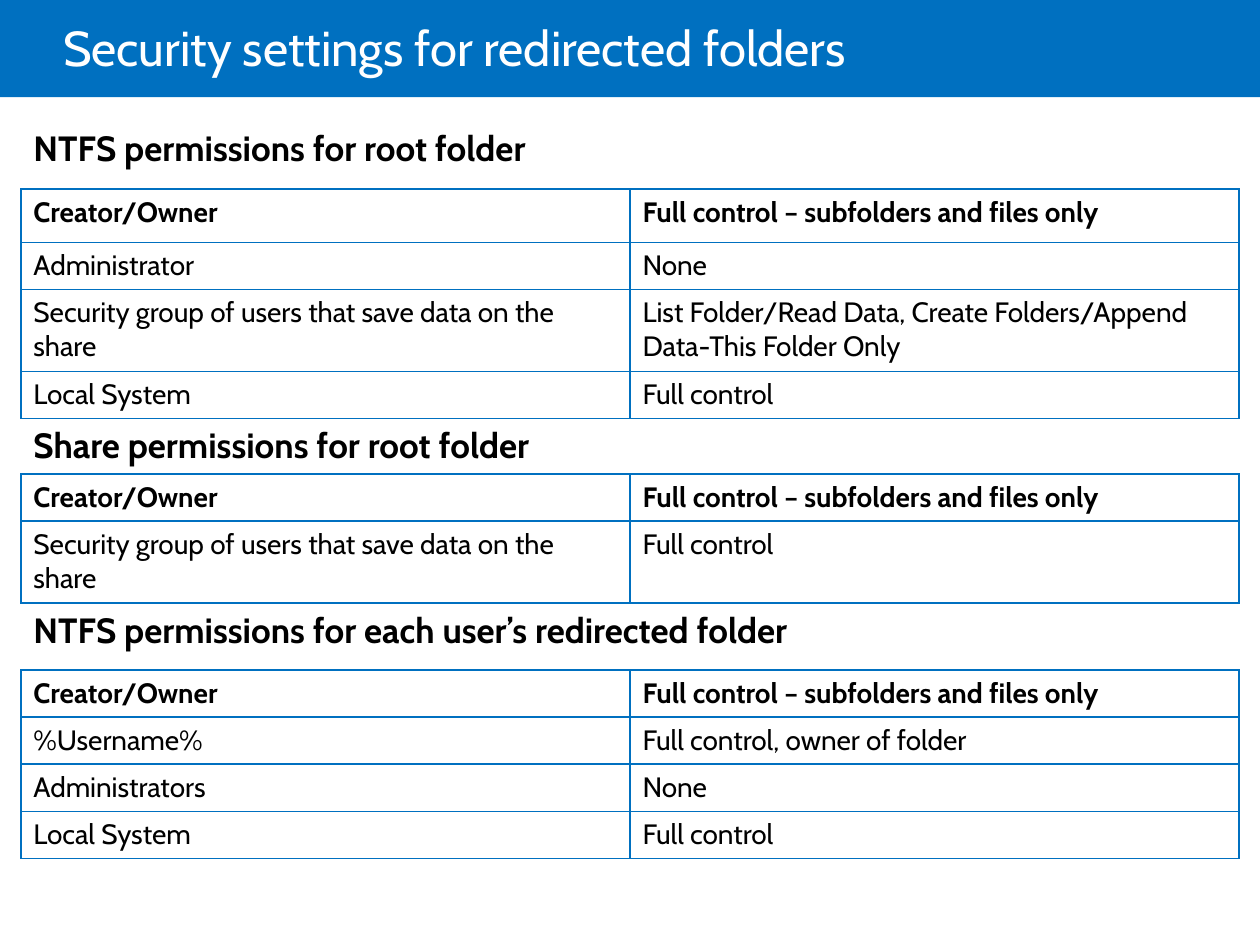
from lxml import etree
from pptx import Presentation
from pptx.dml.color import RGBColor
from pptx.enum.shapes import MSO_SHAPE
from pptx.enum.text import MSO_ANCHOR, PP_ALIGN
from pptx.oxml.ns import qn
from pptx.util import Cm, Pt

RECTANGLE = MSO_SHAPE.RECTANGLE
MIDDLE = MSO_ANCHOR.MIDDLE
LEFT = PP_ALIGN.LEFT
BLUE = RGBColor(0x00, 0x70, 0xC0)
WHITE = RGBColor(0xFF, 0xFF, 0xFF)
BLACK = RGBColor(0x00, 0x00, 0x00)
FONT = "Cabin"
SIDES = ("L", "R", "T", "B")

OWNER = ("Creator/Owner", "Full control – subfolders and files only")
USERS = "Security group of users that save data on the share"
LOCAL_SYSTEM = ("Local System", "Full control")
LINE, TWO_LINES = 0.95, 1.65

SECTIONS = [
    ("NTFS permissions for root folder", 1.37, [
        (OWNER, 1.08),
        (("Administrator", "None"), LINE),
        ((USERS, "List Folder/Read Data, Create Folders/Append Data-This Folder Only"), TWO_LINES),
        (LOCAL_SYSTEM, LINE),
    ]),
    ("Share permissions for root folder", 1.11, [
        (OWNER, LINE),
        ((USERS, "Full control"), TWO_LINES),
    ]),
    ("NTFS permissions for each user’s redirected folder", 1.35, [
        (OWNER, LINE),
        (("%Username%", "Full control, owner of folder"), LINE),
        (("Administrators", "None"), LINE),
        (LOCAL_SYSTEM, LINE),
    ]),
]


def set_font(paragraph, size, color, bold=False):
    paragraph.font.name = FONT
    paragraph.font.size = Pt(size)
    paragraph.font.bold = bold
    paragraph.font.color.rgb = color


def format_cell(cell, visible_sides):
    cell.fill.background()
    properties = cell._tc.get_or_add_tcPr()
    for position, side in enumerate(SIDES):
        border = etree.Element(qn(f"a:ln{side}"), w=str(Pt(1)))
        if side in visible_sides:
            fill = etree.SubElement(border, qn("a:solidFill"))
            etree.SubElement(fill, qn("a:srgbClr"), val=str(BLUE))
        else:
            etree.SubElement(border, qn("a:noFill"))
        properties.insert(position, border)


presentation = Presentation()
presentation.slide_width = Cm(25.4)
presentation.slide_height = Cm(19.05)
slide = presentation.slides.add_slide(presentation.slide_layouts[5])

banner = slide.shapes.add_shape(RECTANGLE, 0, 0, presentation.slide_width, Cm(1.96))
banner.shadow.inherit = False
banner.fill.solid()
banner.fill.fore_color.rgb = BLUE
banner.line.fill.background()
slide.shapes._spTree.insert(2, banner._element)

title = slide.shapes.title
title.left, title.top, title.width, title.height = Cm(1.27), Cm(0), Cm(21.59), Cm(2.06)
title.text_frame.text = "Security settings for redirected folders"
title.text_frame.margin_left = 0
title.text_frame.vertical_anchor = MIDDLE
paragraph = title.text_frame.paragraphs[0]
paragraph.alignment = LEFT
paragraph.line_spacing = 0.85
set_font(paragraph, 28, WHITE)

row_count = sum(1 + len(rows) for heading, height, rows in SECTIONS)
table = slide.shapes.add_table(row_count, 2, Cm(0.42), Cm(2.44), Cm(24.56), Cm(14.9)).table
table.first_row = False
table.horz_banding = False

row_index = 0
for section_index, (heading, heading_height, rows) in enumerate(SECTIONS):
    table.rows[row_index].height = Cm(heading_height)
    heading_cell = table.cell(row_index, 0)
    heading_cell.merge(table.cell(row_index, 1))
    heading_cell.text = heading
    set_font(heading_cell.text_frame.paragraphs[0], 20, BLACK, True)
    for cell in table.rows[row_index].cells:
        format_cell(cell, "TB" if section_index else "B")
    row_index += 1
    for texts, height in rows:
        table.rows[row_index].height = Cm(height)
        for cell, text in zip(table.rows[row_index].cells, texts):
            cell.text = text
            set_font(cell.text_frame.paragraphs[0], 16, BLACK, texts is OWNER)
            format_cell(cell, SIDES)
        row_index += 1

presentation.save("out.pptx")
